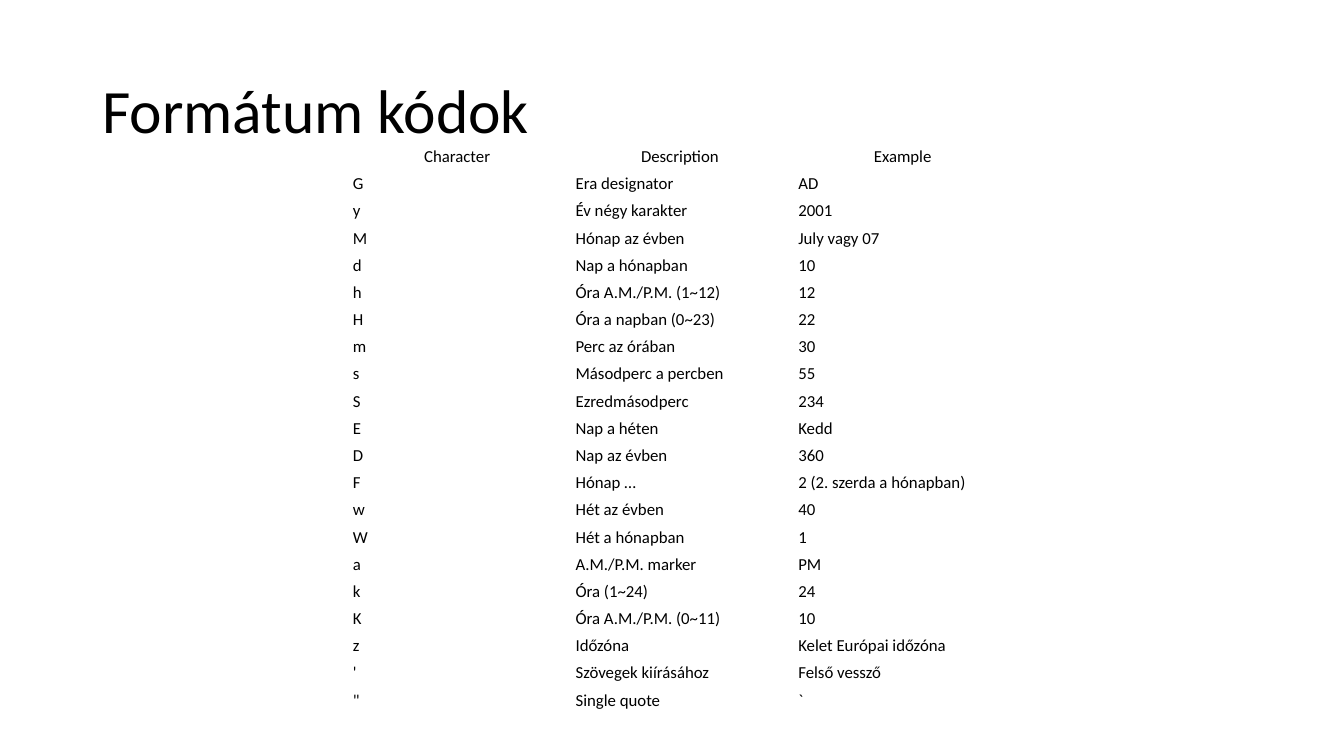
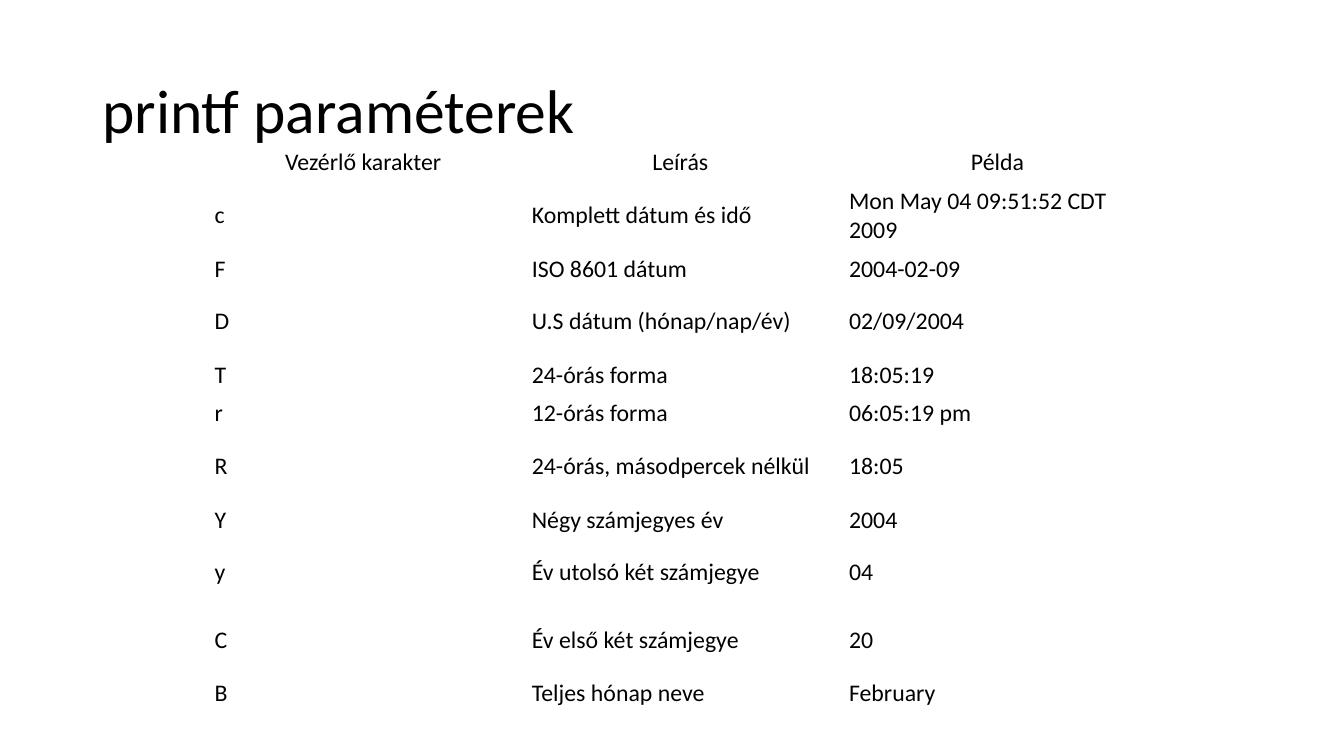
from dataclasses import dataclass

from pptx import Presentation
from pptx.dml.color import RGBColor
from pptx.enum.text import MSO_ANCHOR as Anchor, PP_ALIGN as Align
from pptx.slide import Slide
from pptx.text.text import TextFrame
from pptx.util import Pt

# Shared style
COLORS = {"text": "000000", "page": "FFFFFF"}
FONT = "Calibri"
PAGE_WIDTH, PAGE_HEIGHT = 960, 540
BLANK_LAYOUT = 6
TABLE_TOP = 102.24
PLAIN_TABLE_STYLE = "{2D5ABB26-0587-4C30-8999-92F81FD0307C}"


@dataclass(frozen=True)
class CodeTable:
    """A titled three-column table; lengths in points."""
    title: str
    left: float
    column_width: float
    row_heights: list[float]
    font_size: float
    inset_x: float
    inset_y: float
    rows: list[tuple[str, str, str]]


# Content
FORMAT_ROWS = [
    ("Character", "Description", "Example"),
    ("G", "Era designator", "AD"),
    ("y", "Év négy karakter", "2001"),
    ("M", "Hónap az évben", "July vagy 07"),
    ("d", "Nap a hónapban", "10"),
    ("h", "Óra A.M./P.M. (1~12)", "12"),
    ("H", "Óra a napban (0~23)", "22"),
    ("m", "Perc az órában", "30"),
    ("s", "Másodperc a percben", "55"),
    ("S", "Ezredmásodperc", "234"),
    ("E", "Nap a héten", "Kedd"),
    ("D", "Nap az évben", "360"),
    ("F", "Hónap …", "2 (2. szerda a hónapban)"),
    ("w", "Hét az évben", "40"),
    ("W", "Hét a hónapban", "1"),
    ("a", "A.M./P.M. marker", "PM"),
    ("k", "Óra (1~24)", "24"),
    ("K", "Óra A.M./P.M. (0~11)", "10"),
    ("z", "Időzóna", "Kelet Európai időzóna"),
    ("'", "Szövegek kiírásához", "Felső vessző"),
    ('"', "Single quote", "`"),
]
PRINTF_ROWS = [
    ("Vezérlő karakter", "Leírás", "Példa"),
    ("c", "Komplett dátum és idő", "Mon May 04 09:51:52 CDT 2009"),
    ("F", "ISO 8601 dátum", "2004-02-09"),
    ("D", "U.S dátum (hónap/nap/év)", "02/09/2004"),
    ("T", "24-órás forma", "18:05:19"),
    ("r", "12-órás forma", "06:05:19 pm"),
    ("R", "24-órás, másodpercek nélkül", "18:05"),
    ("Y", "Négy számjegyes év", "2004"),
    ("y", "Év utolsó két számjegye", "04"),
    ("C", "Év első két számjegye", "20"),
    ("B", "Teljes hónap neve", "February"),
]
TALL_PRINTF_CODES = "cDRyC"

CODE_TABLES = [
    CodeTable("Formátum kódok", 247, 159.12, [19.44] * len(FORMAT_ROWS),
              12, 5.04, 2.4, FORMAT_ROWS),
    CodeTable("printf paraméterek", 146.16, 226.56,
              [48.2 if row[0] in TALL_PRINTF_CODES else 27.5 for row in PRINTF_ROWS],
              17, 7.2, 3.6, PRINTF_ROWS),
]


def write_text(frame: TextFrame, text: str, *, size: float,
               align: Align = Align.LEFT, line_spacing: float = 1.0) -> None:
    para = frame.paragraphs[0]
    para.alignment = align
    para.line_spacing = line_spacing
    span = para.add_run()
    span.text = text
    span.font.size = Pt(size)
    span.font.name = FONT
    span.font.color.rgb = RGBColor.from_string(COLORS["text"])


def add_title(page: Slide, text: str) -> None:
    box = page.shapes.add_textbox(Pt(66), Pt(28.8), Pt(828), Pt(104.4))
    frame = box.text_frame
    frame.word_wrap = True
    frame.vertical_anchor = Anchor.MIDDLE
    write_text(frame, text, size=44, line_spacing=0.9)


def add_code_table(page: Slide, content: CodeTable) -> None:
    column_count = len(content.rows[0])
    graphic = page.shapes.add_table(
        len(content.rows), column_count, Pt(content.left), Pt(TABLE_TOP),
        Pt(content.column_width * column_count), Pt(sum(content.row_heights)))
    table = graphic.table
    table.first_row = table.horz_banding = False
    # Plain style without borders
    graphic.element.find(".//{*}tableStyleId").text = PLAIN_TABLE_STYLE
    for column in table.columns:
        column.width = Pt(content.column_width)
    for row_index, values in enumerate(content.rows):
        table.rows[row_index].height = Pt(content.row_heights[row_index])
        for column_index, value in enumerate(values):
            cell = table.cell(row_index, column_index)
            cell.fill.background()
            cell.vertical_anchor = Anchor.MIDDLE
            cell.margin_left = cell.margin_right = Pt(content.inset_x)
            cell.margin_top = cell.margin_bottom = Pt(content.inset_y)
            write_text(cell.text_frame, value, size=content.font_size,
                       align=Align.LEFT if row_index else Align.CENTER)


def main() -> None:
    deck = Presentation()
    deck.slide_width, deck.slide_height = Pt(PAGE_WIDTH), Pt(PAGE_HEIGHT)
    background = deck.slide_master.background.fill
    background.solid()
    background.fore_color.rgb = RGBColor.from_string(COLORS["page"])
    for content in CODE_TABLES:
        page = deck.slides.add_slide(deck.slide_layouts[BLANK_LAYOUT])
        add_title(page, content.title)
        add_code_table(page, content)
    deck.save("out.pptx")


if __name__ == "__main__":
    main()
